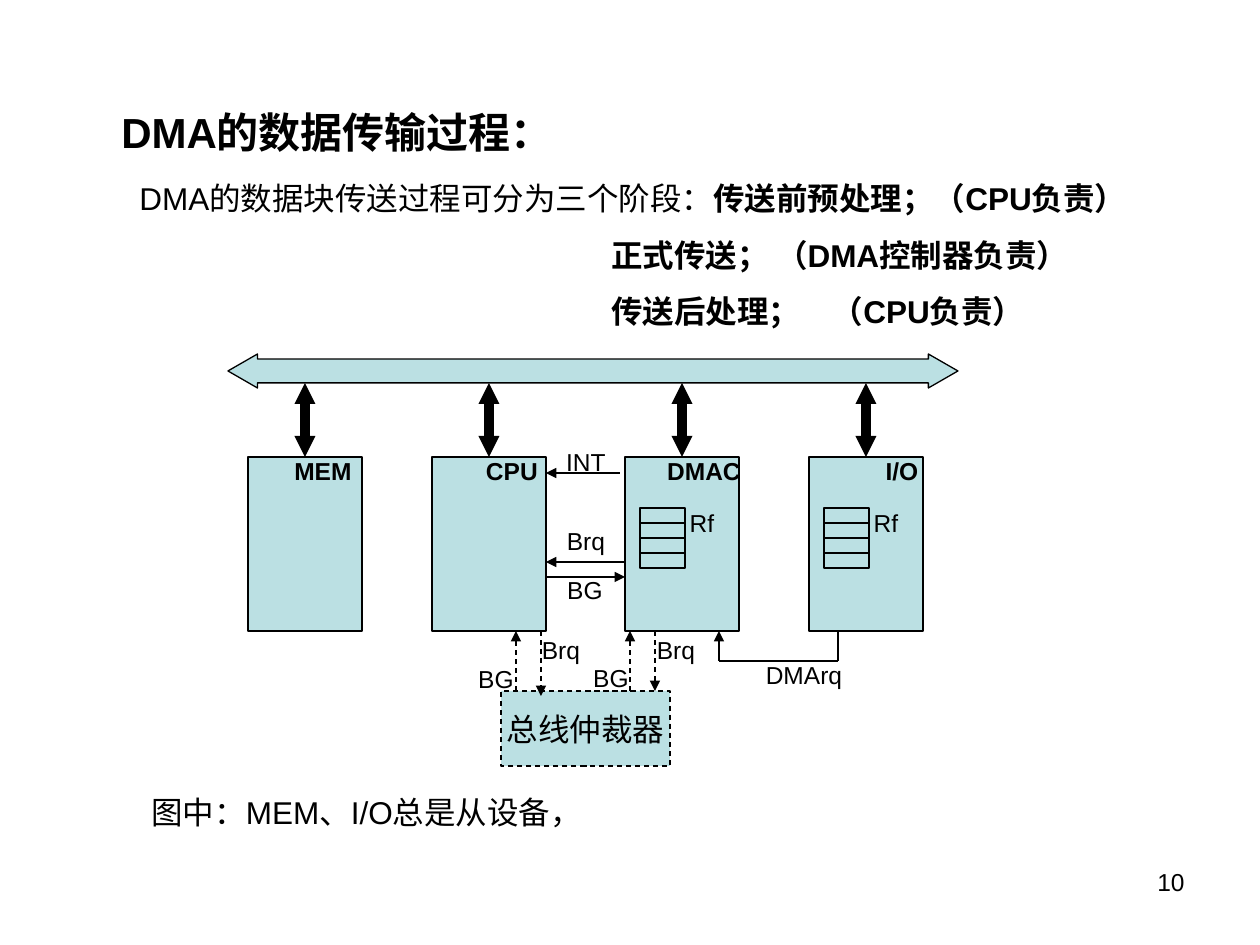
from dataclasses import dataclass
from itertools import pairwise
from typing import Optional

from lxml.etree import SubElement
from pptx import Presentation
from pptx.dml.color import RGBColor
from pptx.enum.dml import MSO_LINE_DASH_STYLE as Dash
from pptx.enum.shapes import MSO_CONNECTOR as Connector, MSO_SHAPE as Shape
from pptx.enum.text import MSO_ANCHOR as Anchor, MSO_AUTO_SIZE as AutoSize, PP_ALIGN as Align
from pptx.oxml.ns import qn
from pptx.util import Emu, Pt

PX_PER_INCH = 126


def px(length: int) -> Emu:
    return Emu(round(length * 914400 / PX_PER_INCH))


@dataclass(frozen=True)
class Theme:
    font: str = "Arial"
    ink: RGBColor = RGBColor(0, 0, 0)
    fill: RGBColor = RGBColor(0xBB, 0xE0, 0xE3)
    title: int = 24
    body: int = 18
    label: int = 14
    thin: float = 0.75
    thick: float = 6


@dataclass(frozen=True)
class Unit:
    name: str
    left: int
    name_center: int
    has_registers: bool = False


@dataclass(frozen=True)
class Label:
    """A word centred on a point."""
    text: str
    center_x: int
    center_y: int
    width: int = 52
    bold: bool = False


@dataclass(frozen=True)
class Arrow:
    x1: int
    y1: int
    x2: int
    y2: int
    dashed: bool = False


THEME = Theme()
UNIT_TOP, UNIT_WIDTH, UNIT_HEIGHT = 457, 114, 174
UNIT_BOTTOM = UNIT_TOP + UNIT_HEIGHT
BUS_ARROW_TOP = 383
REGISTER_TOP, REGISTER_WIDTH, REGISTER_HEIGHT, REGISTER_COUNT = 508, 45, 15, 4
ARBITER_TOP = 691
PHASE_INDENT = 472
LABEL_HEIGHT = 16

UNITS = [
    Unit("MEM", 248, 323),
    Unit("CPU", 432, 512),
    Unit("DMAC", 625, 704, True),
    Unit("I/O", 809, 902, True),
]
ARROWS = [
    Arrow(620, 473, 546, 473),
    Arrow(625, 562, 546, 562),
    Arrow(546, 577, 625, 577),
    Arrow(655, UNIT_BOTTOM, 655, ARBITER_TOP, True),
    Arrow(630, ARBITER_TOP, 630, UNIT_BOTTOM, True),
    Arrow(541, UNIT_BOTTOM, 541, 696, True),
    Arrow(516, ARBITER_TOP, 516, UNIT_BOTTOM, True),
]
REQUEST_PATH = [(838, UNIT_BOTTOM), (838, 661), (719, 661), (719, UNIT_BOTTOM)]
LABELS = [
    Label("INT", 586, 462),
    Label("Brq", 586, 541),
    Label("BG", 585, 590),
    Label("Brq", 561, 650),
    Label("Brq", 676, 650),
    Label("BG", 611, 678),
    Label("BG", 496, 679),
    Label("DMArq", 804, 675, 86),
]
PHASES = ["正式传送； （DMA控制器负责）", "传送后处理；　（CPU负责）"]


def style_para(para, size: int, bold: Optional[bool] = None, align=None) -> None:
    para.alignment = align
    para.font.name = THEME.font
    para.font.size = Pt(size)
    para.font.bold = bold
    para.font.color.rgb = THEME.ink


def add_text(page, text: str, left: int, top: int, width: int, height: int,
             size: int, bold: Optional[bool] = None, align=None, wrap: bool = False):
    box = page.shapes.add_textbox(px(left), px(top), px(width), px(height))
    frame = box.text_frame
    frame.word_wrap = wrap
    para = frame.paragraphs[0]
    para.text = text
    style_para(para, size, bold, align)
    return frame


def add_label(page, label: Label) -> None:
    frame = add_text(page, label.text, label.center_x - label.width // 2,
                     label.center_y - LABEL_HEIGHT // 2, label.width, LABEL_HEIGHT,
                     THEME.label, label.bold, Align.CENTER)
    frame.vertical_anchor = Anchor.MIDDLE
    frame.margin_left = frame.margin_right = frame.margin_top = frame.margin_bottom = 0


def add_block(page, kind, left: int, top: int, width: int, height: int,
              filled: bool = True):
    block = page.shapes.add_shape(kind, px(left), px(top), px(width), px(height))
    block.shadow.inherit = False
    if filled:
        block.fill.solid()
        block.fill.fore_color.rgb = THEME.fill
    else:
        block.fill.background()
    block.line.color.rgb = THEME.ink
    block.line.width = Pt(THEME.thin)
    return block


def add_line(page, x1: int, y1: int, x2: int, y2: int, weight: float = THEME.thin,
             ends: tuple = (), head_size: str = "med"):
    """Draw a line; ends names the arrowhead elements, headEnd before tailEnd."""
    line = page.shapes.add_connector(Connector.STRAIGHT, px(x1), px(y1), px(x2), px(y2))
    line.line.color.rgb = THEME.ink
    line.line.width = Pt(weight)
    outline = line.line._get_or_add_ln()
    for end in ends:
        SubElement(outline, qn(f"a:{end}"), type="triangle", w=head_size, len=head_size)
    SubElement(line._element.spPr, qn("a:effectLst"))
    return line


def add_unit(page, unit: Unit):
    block = add_block(page, Shape.RECTANGLE, unit.left, UNIT_TOP, UNIT_WIDTH, UNIT_HEIGHT)
    add_label(page, Label(unit.name, unit.name_center, 471, 86, True))
    if unit.has_registers:
        for row in range(REGISTER_COUNT):
            add_block(page, Shape.RECTANGLE, unit.left + 15,
                      REGISTER_TOP + row * REGISTER_HEIGHT,
                      REGISTER_WIDTH, REGISTER_HEIGHT, filled=False)
        add_label(page, Label("Rf", unit.left + 77, 523, 30))
    return block


def add_diagram(page) -> None:
    blocks = [add_unit(page, unit) for unit in UNITS]
    bus = add_block(page, Shape.LEFT_RIGHT_ARROW, 228, 354, 730, 34)
    bus.adjustments[0], bus.adjustments[1] = 0.7, 0.87
    for unit, block in zip(UNITS, blocks):
        center = unit.left + UNIT_WIDTH // 2
        link = add_line(page, center, BUS_ARROW_TOP, center, UNIT_TOP, THEME.thick,
                        ("headEnd", "tailEnd"), "sm")
        link.end_connect(block, 0)

    arbiter = add_block(page, Shape.RECTANGLE, 501, ARBITER_TOP, 169, 75)
    arbiter.line.dash_style = Dash.DASH
    frame = arbiter.text_frame
    frame.word_wrap = False
    frame.vertical_anchor = Anchor.MIDDLE
    frame.text = "总线仲裁器"
    style_para(frame.paragraphs[0], THEME.body, align=Align.CENTER)

    for arrow in ARROWS:
        line = add_line(page, arrow.x1, arrow.y1, arrow.x2, arrow.y2, ends=("tailEnd",))
        if arrow.dashed:
            line.line.dash_style = Dash.DASH
    for start, end in pairwise(REQUEST_PATH):
        is_last = end == REQUEST_PATH[-1]
        add_line(page, *start, *end, ends=("tailEnd",) if is_last else ())
    for label in LABELS:
        add_label(page, label)


def add_phases(page) -> None:
    frame = add_text(page, "DMA的数据块传送过程可分为三个阶段：", 127, 154, 1050, 183,
                     THEME.body, wrap=True)
    span = frame.paragraphs[0].add_run()
    span.text = "传送前预处理；（CPU负责）"
    span.font.bold = True
    for phase in PHASES:
        para = frame.add_paragraph()
        para.text = phase
        para._p.get_or_add_pPr().set("marL", str(px(PHASE_INDENT)))
        style_para(para, THEME.body, True)
    for para in frame.paragraphs:
        para.line_spacing = 1.5


def main() -> None:
    deck = Presentation()
    deck.slide_width, deck.slide_height = px(1260), px(945)
    page = deck.slides.add_slide(deck.slide_layouts[6])
    title = add_text(page, "DMA的数据传输过程：", 109, 100, 466, 63, THEME.title, True)
    title.auto_size = AutoSize.SHAPE_TO_FIT_TEXT
    add_phases(page)
    add_diagram(page)
    note = add_text(page, "图中：MEM、I/O总是从设备，", 139, 787, 485, 50, THEME.body)
    note.auto_size = AutoSize.SHAPE_TO_FIT_TEXT
    add_text(page, "10", 903, 861, 294, 66, THEME.label, align=Align.RIGHT, wrap=True)
    deck.save("out.pptx")


if __name__ == "__main__":
    main()
